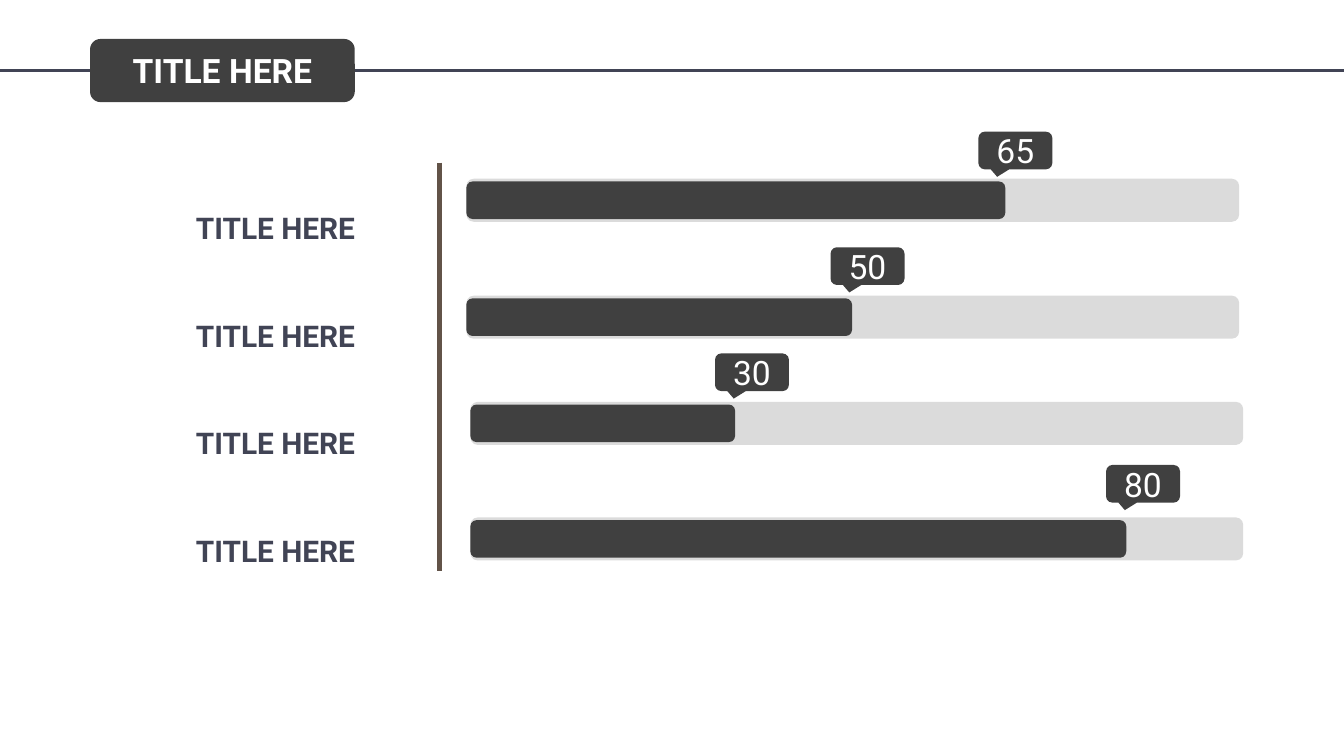
from dataclasses import dataclass

from lxml.etree import SubElement
from pptx import Presentation
from pptx.dml.color import RGBColor
from pptx.enum.shapes import MSO_CONNECTOR, MSO_SHAPE
from pptx.enum.text import MSO_ANCHOR, PP_ALIGN
from pptx.oxml.ns import qn
from pptx.util import Inches, Pt


@dataclass(frozen=True)
class Theme:
    font: str = "Roboto"
    dark: str = "404040"
    white: str = "FFFFFF"
    navy: str = "414455"
    brown: str = "625348"
    track: str = "000000"
    track_opacity: int = 14
    heading_size: int = 18
    label_size: int = 16


THEME = Theme()
HEADING = {"name": THEME.font, "size": Pt(THEME.heading_size), "bold": True}
VALUE = {**HEADING, "bold": False}
LABEL = {**HEADING, "size": Pt(THEME.label_size)}

# label, value, bar left, track top, filled length, callout offset from bar end, callout rise
ROWS = [
    ("TITLE HERE", "65", 3.47, 1.33, 4.01, 0.2, 0.35),
    ("TITLE HERE", "50", 3.47, 2.2, 2.87, 0.16, 0.36),
    ("TITLE HERE", "30", 3.5, 2.99, 1.97, 0.15, 0.36),
    ("TITLE HERE", "80", 3.5, 3.85, 4.88, 0.15, 0.39),
]


def write(paragraph, text, style, color):
    paragraph.alignment = PP_ALIGN.CENTER
    run = paragraph.add_run()
    run.text = text
    for attribute, value in style.items():
        setattr(run.font, attribute, value)
    run.font.color.rgb = RGBColor.from_string(color)


def add_block(slide, preset, box, color, adjustments=(), opacity=100):
    """Add a borderless filled shape; opacity is a percentage."""
    block = slide.shapes.add_shape(preset, *map(Inches, box))
    block.shadow.inherit = False
    block.line.fill.background()
    block.fill.solid()
    block.fill.fore_color.rgb = RGBColor.from_string(color)
    for index, value in enumerate(adjustments):
        block.adjustments[index] = value
    if opacity < 100:
        rgb = block._element.spPr.find(f"{qn('a:solidFill')}/{qn('a:srgbClr')}")
        SubElement(rgb, qn("a:alpha"), val=str(opacity * 1000))
    return block


def add_caption(block, text, style):
    block.text_frame.vertical_anchor = MSO_ANCHOR.MIDDLE
    write(block.text_frame.paragraphs[0], text, style, THEME.white)


def add_rule(slide, start, end, color, width):
    rule = slide.shapes.add_connector(
        MSO_CONNECTOR.STRAIGHT, *map(Inches, (*start, *end)))
    rule.line.color.rgb = RGBColor.from_string(color)
    rule.line.width = Pt(width)
    SubElement(rule._element.spPr, qn("a:effectLst"))


def add_header(slide, left, top, width, height):
    middle = top + height / 2
    add_rule(slide, (left, middle), (left + width, middle), THEME.navy, 1.5)
    badge = add_block(slide, MSO_SHAPE.ROUNDED_RECTANGLE,
                      (left + 0.67, top, 1.97, height), THEME.dark, [0.167])
    add_caption(badge, "TITLE HERE", HEADING)


def add_progress_bar(slide, box, filled, value, callout_offset, callout_rise):
    left, top, width, height = box
    bar = MSO_SHAPE.FLOWCHART_ALTERNATE_PROCESS
    add_block(slide, bar, box, THEME.track, opacity=THEME.track_opacity)
    add_block(slide, bar, (left, top + 0.02, filled, height - 0.04), THEME.dark)
    callout = add_block(
        slide, MSO_SHAPE.ROUNDED_RECTANGULAR_CALLOUT,
        (left + filled - callout_offset, top - callout_rise, 0.55, 0.28),
        THEME.dark, [-0.246, 0.7, 0.167])
    add_caption(callout, value, VALUE)


def add_labels(slide, left, top, width, height, labels):
    """Add the label column with the vertical rule along its right edge."""
    right = left + width
    add_rule(slide, (right, top + 0.23), (right, top + height - 0.06),
             THEME.brown, 2.25)
    column = slide.shapes.add_textbox(*map(Inches, (left, top, width, height)))
    frame = column.text_frame
    frame.word_wrap = True
    for index, label in enumerate(labels):
        paragraph = frame.add_paragraph() if index else frame.paragraphs[0]
        paragraph.line_spacing = 3.0
        write(paragraph, label, LABEL, THEME.navy)


def main():
    deck = Presentation()
    deck.slide_width = Inches(10)
    deck.slide_height = deck.slide_width * 9 // 16
    slide = deck.slides.add_slide(deck.slide_layouts[6])
    add_header(slide, 0, 0.29, 10, 0.47)
    for _, value, left, top, filled, offset, rise in ROWS:
        add_progress_bar(slide, (left, top, 5.75, 0.32), filled, value, offset, rise)
    add_labels(slide, 0.83, 0.98, 2.44, 3.33, [row[0] for row in ROWS])
    deck.save("out.pptx")


if __name__ == "__main__":
    main()
